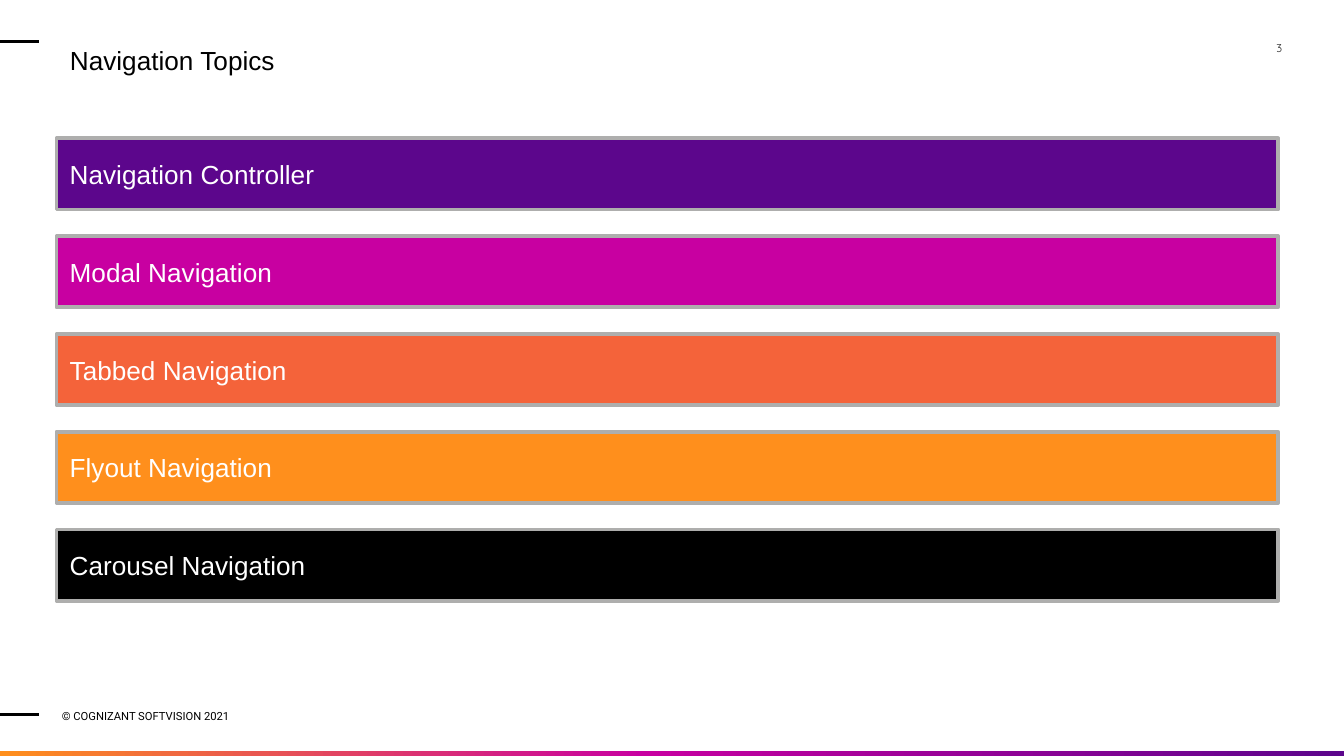
from copy import deepcopy

from lxml.etree import SubElement
from pptx import Presentation
from pptx.dml.color import RGBColor
from pptx.enum.shapes import MSO_CONNECTOR as CONNECTOR, MSO_SHAPE as SHAPE
from pptx.enum.text import MSO_ANCHOR as ANCHOR, MSO_AUTO_SIZE as AUTO_SIZE, PP_ALIGN as ALIGN
from pptx.oxml.ns import qn
from pptx.util import Inches, Pt

COLORS = {
    "purple": "5C068C",
    "magenta": "C800A1",
    "coral": "F4633A",
    "orange": "FF8F1C",
    "black": "000000",
    "white": "FFFFFF",
    "gray": "AEAEAD",
    "charcoal": "212121",
}
TOPICS = [
    ("Navigation Controller", "purple"),
    ("Modal Navigation", "magenta"),
    ("Tabbed Navigation", "coral"),
    ("Flyout Navigation", "orange"),
    ("Carousel Navigation", "black"),
]
SLIDE_WIDTH = 10
SLIDE_HEIGHT = SLIDE_WIDTH * 9 / 16


def rgb(name):
    return RGBColor.from_string(COLORS[name])


def write_text(shape, text, size, font_name, color, align=ALIGN.LEFT, anchor=ANCHOR.TOP):
    frame = shape.text_frame
    frame.text = text
    frame.word_wrap = True
    frame.auto_size = AUTO_SIZE.NONE
    frame.vertical_anchor = anchor
    paragraph = frame.paragraphs[0]
    paragraph.alignment = align
    font = paragraph.runs[0].font
    font.size, font.name = Pt(size), font_name
    font.color.rgb = rgb(color)


def place_title(slide, left, top, width, height):
    title = slide.shapes.title
    title.left, title.top = Inches(left), Inches(top)
    title.width, title.height = Inches(width), Inches(height)
    write_text(title, "Navigation Topics", 14, "Arial", "black")


def add_topics(slide, left, top, width, height):
    """Stack one bar per topic, evenly spaced to fill the box."""
    bar_height = 0.53
    pitch = (height - bar_height) / (len(TOPICS) - 1)
    for index, (topic, color) in enumerate(TOPICS):
        bar = slide.shapes.add_shape(
            SHAPE.RECTANGLE, Inches(left), Inches(top + index * pitch), Inches(width), Inches(bar_height)
        )
        bar.shadow.inherit = False
        bar.fill.solid()
        bar.fill.fore_color.rgb = rgb(color)
        bar.line.color.rgb = rgb("gray")
        bar.line.width = Pt(2)
        write_text(bar, topic, 14, "Arial", "white", anchor=ANCHOR.MIDDLE)


def add_label(slide, left, top, width, height, text, font_name, color, **layout):
    label = slide.shapes.add_textbox(Inches(left), Inches(top), Inches(width), Inches(height))
    frame = label.text_frame
    frame.margin_left = frame.margin_top = frame.margin_right = frame.margin_bottom = 0
    write_text(label, text, 6, font_name, color, **layout)


def add_edge_mark(slide, left, top, width):
    mark = slide.shapes.add_connector(
        CONNECTOR.STRAIGHT, Inches(left), Inches(top), Inches(left + width), Inches(top)
    )
    mark.line.color.rgb = rgb("black")
    mark.line.width = Pt(1.5)
    SubElement(mark._element.spPr, qn("a:effectLst"))


def add_gradient_strip(slide, left, top, width, height):
    strip = slide.shapes.add_shape(
        SHAPE.RECTANGLE, Inches(left), Inches(top), Inches(width), Inches(height)
    )
    strip.shadow.inherit = False
    strip.line.fill.background()
    strip.fill.gradient()
    strip.fill.gradient_angle = 180
    stop_list = strip._element.spPr.find(".//" + qn("a:gsLst"))
    stop_list.append(deepcopy(stop_list[-1]))
    stops = [(0, "purple"), (0.52, "magenta"), (1, "orange")]
    for stop, (position, color) in zip(strip.fill.gradient_stops, stops):
        stop.position = position
        stop.color.rgb = rgb(color)


def add_frame(slide, left, top, width, height):
    """Add the page number, copyright line, edge marks and bottom strip."""
    bottom = top + height
    add_label(slide, left + width - 1.06, top + 0.31, 0.6, 0.43,
              "3", "Quicksand", "charcoal", align=ALIGN.RIGHT)
    add_label(slide, left + 0.46, bottom - 0.38, 2.22, 0.16,
              "© COGNIZANT SOFTVISION 2021", "Roboto", "black", anchor=ANCHOR.MIDDLE)
    for mark_top in (top + 0.31, bottom - 0.31):
        add_edge_mark(slide, left, mark_top, 0.29)
    add_gradient_strip(slide, left, bottom - 0.04, width, 0.04)


def main():
    presentation = Presentation()
    presentation.slide_width = Inches(SLIDE_WIDTH)
    presentation.slide_height = Inches(SLIDE_HEIGHT)
    slide = presentation.slides.add_slide(presentation.slide_layouts[5])
    add_frame(slide, 0, 0, SLIDE_WIDTH, SLIDE_HEIGHT)
    place_title(slide, 0.42, 0.28, 12.49, 0.59)
    add_topics(slide, 0.42, 1.03, 9.09, 3.44)
    presentation.save("out.pptx")


if __name__ == "__main__":
    main()
